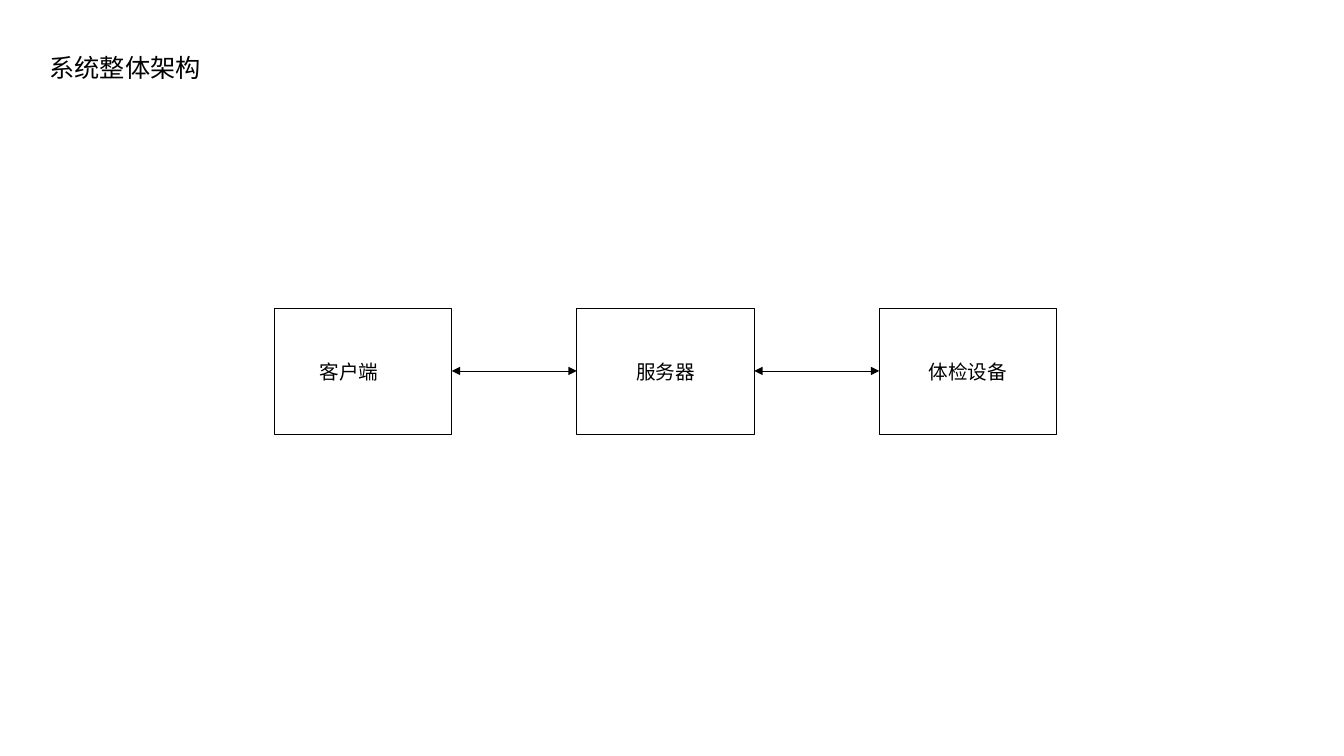
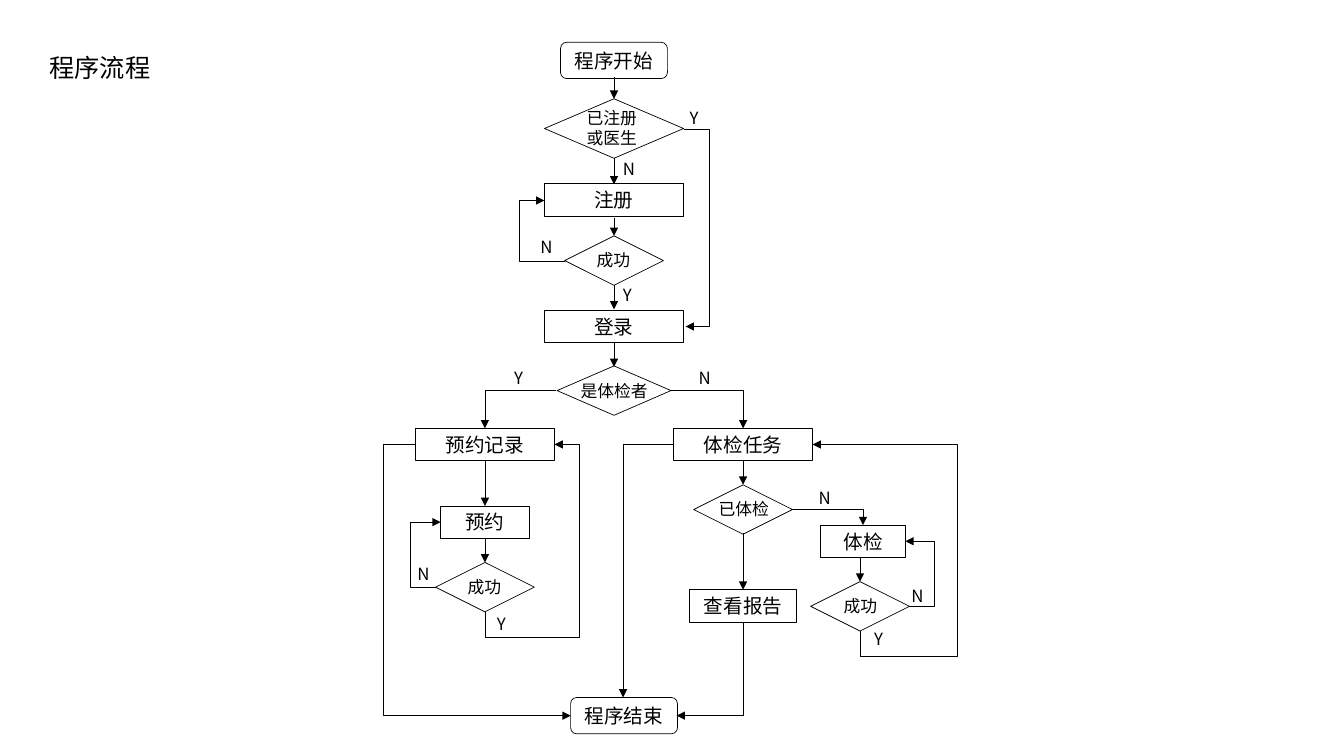
"""Build two slides: the system architecture and the program flow of a check-up system."""
import pptx
import pptx.dml.color
import pptx.enum.shapes
import pptx.enum.text
import pptx.oxml.ns
import pptx.util
from lxml import etree

Inches = pptx.util.Inches
SHAPE = pptx.enum.shapes.MSO_SHAPE
CONNECTOR = pptx.enum.shapes.MSO_CONNECTOR
ALIGN = pptx.enum.text.PP_ALIGN
ANCHOR = pptx.enum.text.MSO_ANCHOR
FIT = pptx.enum.text.MSO_AUTO_SIZE.SHAPE_TO_FIT_TEXT
qn = pptx.oxml.ns.qn

COLORS = {"ink": "000000", "paper": "FFFFFF"}
INK = pptx.dml.color.RGBColor.from_string(COLORS["ink"])
PAPER = pptx.dml.color.RGBColor.from_string(COLORS["paper"])
FONT = "Noto Sans CJK SC"


def write(shape, text, size, align=ALIGN.LEFT, anchor=ANCHOR.TOP, wrap=True):
    """Put one styled run of text into a shape."""
    frame = shape.text_frame
    frame.word_wrap = wrap
    frame.vertical_anchor = anchor
    paragraph = frame.paragraphs[0]
    paragraph.alignment = align
    run = paragraph.add_run()
    run.text = text
    run.font.size = pptx.util.Pt(size)
    run.font.color.rgb = INK
    run.font.name = FONT
    etree.SubElement(run.font._element, qn("a:ea"), typeface=FONT)


def link(slide, *route, both_ends=False):
    """Draw an arrow through the points of a route with right-angled turns."""
    start, *turns, end = route
    across, down = end[0] - start[0], end[1] - start[1]
    vertical_first = bool(turns) and turns[0][0] == start[0]
    half_x, half_y = (down / 2, -across / 2) if vertical_first else (across / 2, down / 2)
    mid_x, mid_y = (start[0] + end[0]) / 2, (start[1] + end[1]) / 2
    kind = CONNECTOR.ELBOW if turns else CONNECTOR.STRAIGHT
    arrow = slide.shapes.add_connector(
        kind, Inches(mid_x - half_x), Inches(mid_y - half_y),
        Inches(mid_x + half_x), Inches(mid_y + half_y))
    properties = arrow._element.spPr
    if vertical_first:
        properties.find(qn("a:xfrm")).set("rot", "5400000")
    if turns:
        geometry = properties.find(qn("a:prstGeom"))
        geometry.set("prst", f"bentConnector{len(turns) + 1}")
        for number, turn in enumerate(turns[:-1]):
            axis = (number + vertical_first) % 2
            share = (turn[axis] - start[axis]) / (end[axis] - start[axis])
            etree.SubElement(geometry.find(qn("a:avLst")), qn("a:gd"),
                             name=f"adj{number + 1}", fmla=f"val {round(share * 100000)}")
    arrow.line.color.rgb = INK
    arrow.line.width = pptx.util.Pt(0.5)
    for tip in ("a:headEnd", "a:tailEnd") if both_ends else ("a:tailEnd",):
        etree.SubElement(arrow.line._ln, qn(tip), type="triangle")
    etree.SubElement(properties, qn("a:effectLst"))


deck = pptx.Presentation()
deck.slide_width, deck.slide_height = Inches(13.33), Inches(7.5)

slides = []
for heading, width in (("系统整体架构", 1.72), ("程序流程", 1.21)):
    slide = deck.slides.add_slide(deck.slide_layouts[5])
    title = slide.shapes.title
    title.left, title.top, title.width, title.height = map(Inches, (0.39, 0.47, width, 0.4))
    write(title, heading, 18, wrap=False)
    title.text_frame.auto_size = FIT
    slides.append(slide)
architecture, flow = slides

part_left, part_top, part_width, part_height, part_pitch = 2.72, 3.06, 1.76, 1.25, 3
parts = [("客户端", 3.07, 0.79), ("服务器", 6.21, 0.79), ("体检设备", 9.11, 0.99)]
for index, (name, name_left, name_width) in enumerate(parts):
    left = part_left + index * part_pitch
    part = architecture.shapes.add_shape(
        SHAPE.RECTANGLE, Inches(left), Inches(part_top), Inches(part_width), Inches(part_height))
    part.shadow.inherit = False
    part.fill.background()
    part.line.color.rgb = INK
    part.line.width = pptx.util.Pt(0.75)
    caption = architecture.shapes.add_textbox(
        Inches(name_left), Inches(3.52), Inches(name_width), Inches(0.34))
    write(caption, name, 14, wrap=False)
    caption.text_frame.auto_size = FIT
    if index:
        link(architecture, (left - part_pitch + part_width, 3.68), (left, 3.68), both_ends=True)

main, booking, task, exam = 6.09, 4.81, 7.37, 8.53
steps = [
    (SHAPE.ROUNDED_RECTANGLE, "程序开始", main, 0.42, 1.06, 0.36),
    (SHAPE.RECTANGLE, "注册", main, 1.82, 1.38, 0.33),
    (SHAPE.RECTANGLE, "登录", main, 3.08, 1.38, 0.32),
    (SHAPE.RECTANGLE, "预约记录", booking, 4.25, 1.38, 0.32),
    (SHAPE.RECTANGLE, "体检任务", task, 4.25, 1.38, 0.32),
    (SHAPE.RECTANGLE, "预约", booking, 5.02, 0.88, 0.32),
    (SHAPE.RECTANGLE, "查看报告", task, 5.85, 1.06, 0.32),
    (SHAPE.RECTANGLE, "体检", 8.56, 5.21, 0.84, 0.32),
    (SHAPE.ROUNDED_RECTANGLE, "程序结束", 6.19, 6.92, 1.06, 0.36),
    (SHAPE.DIAMOND, "", main, 0.98, 1.38, 0.59),
    (SHAPE.DIAMOND, "", main, 2.34, 0.98, 0.49),
    (SHAPE.DIAMOND, "", main, 3.63, 1.13, 0.49),
    (SHAPE.DIAMOND, "", booking, 5.58, 0.98, 0.49),
    (SHAPE.DIAMOND, "", task, 4.81, 0.98, 0.49),
    (SHAPE.DIAMOND, "", exam, 5.77, 0.98, 0.49),
]
for kind, name, center, top, width, height in steps:
    step = flow.shapes.add_shape(
        kind, Inches(center - width / 2), Inches(top), Inches(width), Inches(height))
    step.shadow.inherit = False
    step.fill.solid()
    step.fill.fore_color.rgb = PAPER
    step.line.color.rgb = INK
    step.line.width = pptx.util.Pt(0.5)
    if name:
        write(step, name, 14, ALIGN.CENTER, ANCHOR.MIDDLE)

drops = [
    (main, 0.76, 0.98), (main, 1.57, 1.83), (main, 2.16, 2.34), (main, 2.83, 3.07),
    (main, 3.4, 3.64), (booking, 4.57, 5.02), (booking, 5.34, 5.58),
    (task, 4.57, 4.81), (task, 5.29, 5.85), (exam, 5.53, 5.77),
]
for center, top, bottom in drops:
    link(flow, (center, top), (center, bottom))

routes = [
    [(6.78, 1.28), (7.03, 1.28), (7.03, 3.24), (6.8, 3.24)],
    [(5.6, 2.59), (5.15, 2.59), (5.15, 1.99), (5.4, 1.99)],
    [(5.52, 3.87), (booking, 3.87), (booking, 4.25)],
    [(6.65, 3.87), (task, 3.87), (task, 4.25)],
    [(booking, 6.07), (booking, 6.32), (5.75, 6.32), (5.75, 4.41), (5.5, 4.41)],
    [(4.32, 5.83), (4.07, 5.83), (4.07, 5.18), (4.37, 5.18)],
    [(7.86, 5.05), (8.56, 5.05), (8.56, 5.21)],
    [(exam, 6.26), (exam, 6.51), (9.5, 6.51), (9.5, 4.41), (8.06, 4.41)],
    [(9.02, 6.02), (9.27, 6.02), (9.27, 5.37), (8.98, 5.37)],
    [(4.12, 4.41), (3.8, 4.41), (3.8, 7.1), (5.66, 7.1)],
    [(6.68, 4.41), (6.18, 4.41), (6.18, 6.92)],
    [(task, 6.17), (task, 7.1), (6.71, 7.1)],
]
for route in routes:
    link(flow, *route)

questions = [
    ("已注册或医生", 5.72, 1.02, 0.75, 0.5), ("成功", 5.82, 2.43, 0.53, 0.3),
    ("是体检者", 5.66, 3.73, 1.04, 0.3), ("成功", 4.54, 5.67, 0.53, 0.3),
    ("已体检", 7.03, 4.9, 0.76, 0.3), ("成功", 8.27, 5.86, 0.53, 0.3),
]
answer_spots = {
    "Y": [(6.74, 1.02), (4.83, 6.04), (5, 3.6), (8.57, 6.19), (6.08, 2.78)],
    "N": [(6.08, 1.53), (5.26, 2.3), (6.83, 3.6), (8.94, 5.76), (8.02, 4.79), (4.04, 5.54)],
}
answer_widths = {"Y": 0.29, "N": 0.32}
answers = [(answer, left, top, answer_widths[answer], 0.3)
           for answer, spots in answer_spots.items() for left, top in spots]
for text, left, top, width, height in questions + answers:
    label = flow.shapes.add_textbox(Inches(left), Inches(top), Inches(width), Inches(height))
    write(label, text, 12, wrap=text not in answer_spots)
    label.text_frame.auto_size = FIT

deck.save("out.pptx")
